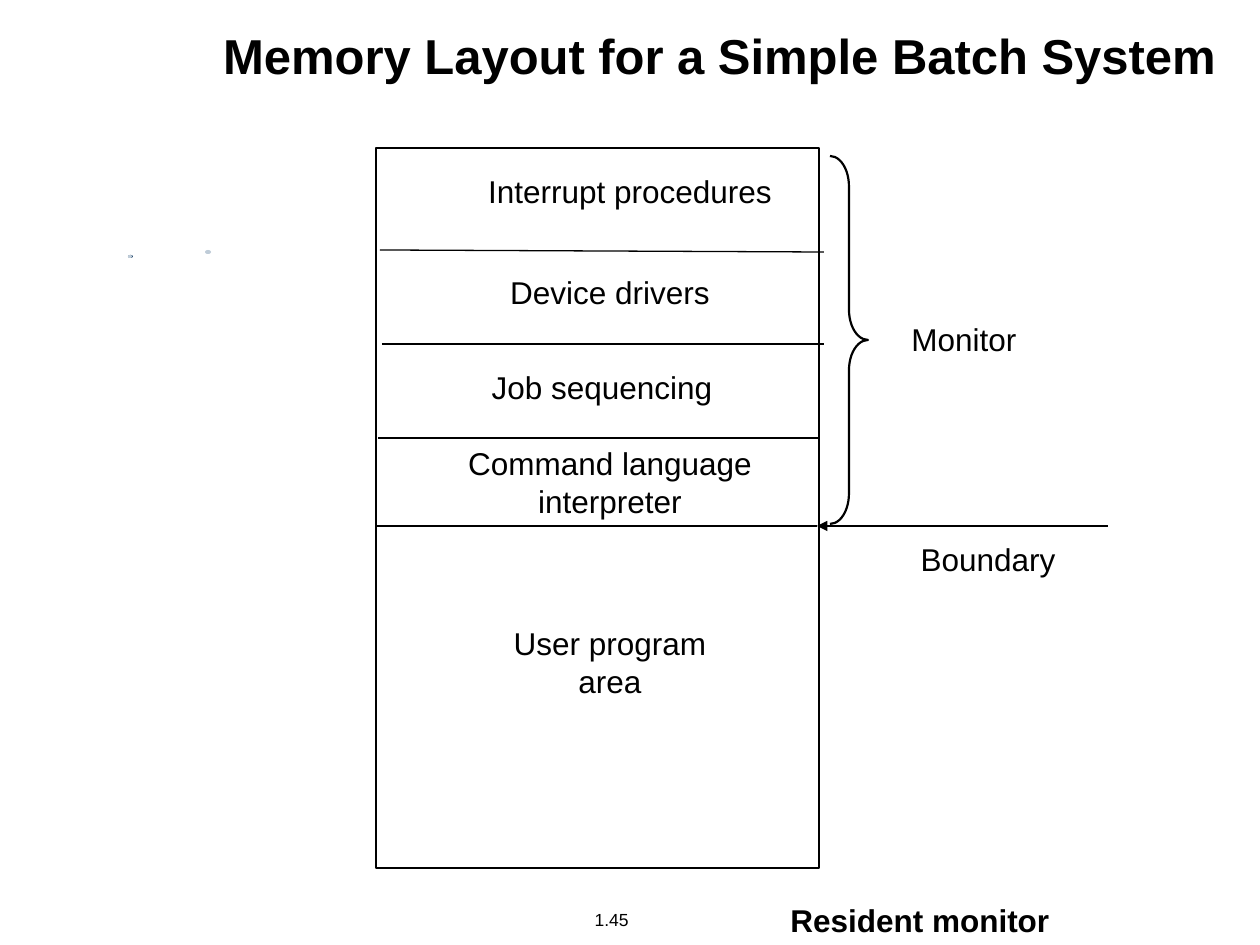
from pptx import Presentation
from pptx.dml.color import RGBColor
from pptx.enum.shapes import MSO_CONNECTOR, MSO_SHAPE
from pptx.enum.text import MSO_ANCHOR, PP_ALIGN
from pptx.oxml.ns import qn
from pptx.util import Pt
from lxml.etree import SubElement

PX = 914400 / 126
INK = "000000"
TITLE = ("Memory Layout for a Simple Batch System", (135, 23, 1169, 63))
MEMORY = (376, 148, 443, 720)
BRACE = (830, 156, 38, 368)

# text, box, size, bold
LABELS = [
    ("Interrupt procedures", (473, 166, 314, 50), 18, False),
    ("Device drivers", (494, 267, 232, 50), 18, False),
    ("Job sequencing", (477, 362, 250, 50), 18, False),
    ("Command language\ninterpreter", (453, 438, 314, 88), 18, False),
    ("User program\narea", (499, 618, 222, 88), 18, False),
    ("Monitor", (897, 314, 134, 50), 18, False),
    ("Boundary", (906, 534, 164, 50), 18, False),
    ("Resident monitor", (776, 895, 288, 50), 18, True),
    ("1.45", (552, 903, 119, 34), 10, False),
]
DIVIDERS = [
    (380, 250, 824, 252),
    (382, 344, 824, 344),
    (378, 438, 818, 438),
    (376, 526, 817, 526),
]
ARROW = (1108, 526, 817, 526)
SPECKS = [
    ((128, 255, 5, 3), "284C70"),
    ((128, 255, 4, 3), "BFCCD8"),
    ((205, 250, 6, 4), "BFCCD8"),
]


def emu(box):
    return [round(n * PX) for n in box]


def color(text):
    return RGBColor.from_string(text)


def style(frame, size, bold):
    for para in frame.paragraphs:
        para.alignment = PP_ALIGN.CENTER
        font = para.font
        font.name, font.size, font.bold = "Arial", Pt(size), bold
        font.color.rgb = color(INK)


def label(slide, text, box, size, bold):
    frame = slide.shapes.add_textbox(*emu(box)).text_frame
    frame.text = text
    frame.word_wrap = False
    style(frame, size, bold)


def shape(slide, kind, box, fill=None, width=0):
    """Add a flat shape, filled or outlined."""
    item = slide.shapes.add_shape(kind, *emu(box))
    item.shadow.inherit = False
    if fill:
        item.fill.solid()
        item.fill.fore_color.rgb = color(fill)
        item.line.fill.background()
    else:
        item.fill.background()
        item.line.color.rgb = color(INK)
        item.line.width = Pt(width)
    return item


def line(slide, ends, arrow=False):
    item = slide.shapes.add_connector(MSO_CONNECTOR.STRAIGHT, *emu(ends))
    item.line.color.rgb = color(INK)
    item.line.width = Pt(0.75)
    props = item._element.spPr
    if arrow:
        SubElement(props.find(qn("a:ln")), qn("a:tailEnd"), type="triangle")
    SubElement(props, qn("a:effectLst"))


def main():
    deck = Presentation()
    deck.slide_width, deck.slide_height = emu((1260, 945))
    slide = deck.slides.add_slide(deck.slide_layouts[5])

    text, box = TITLE
    title = slide.shapes.title
    title.left, title.top, title.width, title.height = emu(box)
    title.text_frame.text = text
    title.text_frame.vertical_anchor = MSO_ANCHOR.MIDDLE
    style(title.text_frame, 28, True)

    for box, fill in SPECKS:
        shape(slide, MSO_SHAPE.OVAL, box, fill)
    shape(slide, MSO_SHAPE.RECTANGLE, MEMORY, width=0.75)
    for ends in DIVIDERS:
        line(slide, ends)
    brace = shape(slide, MSO_SHAPE.RIGHT_BRACE, BRACE, width=1.25)
    brace.adjustments[0] = 0.8
    line(slide, ARROW, arrow=True)
    for item in LABELS:
        label(slide, *item)
    deck.save("out.pptx")


if __name__ == "__main__":
    main()
